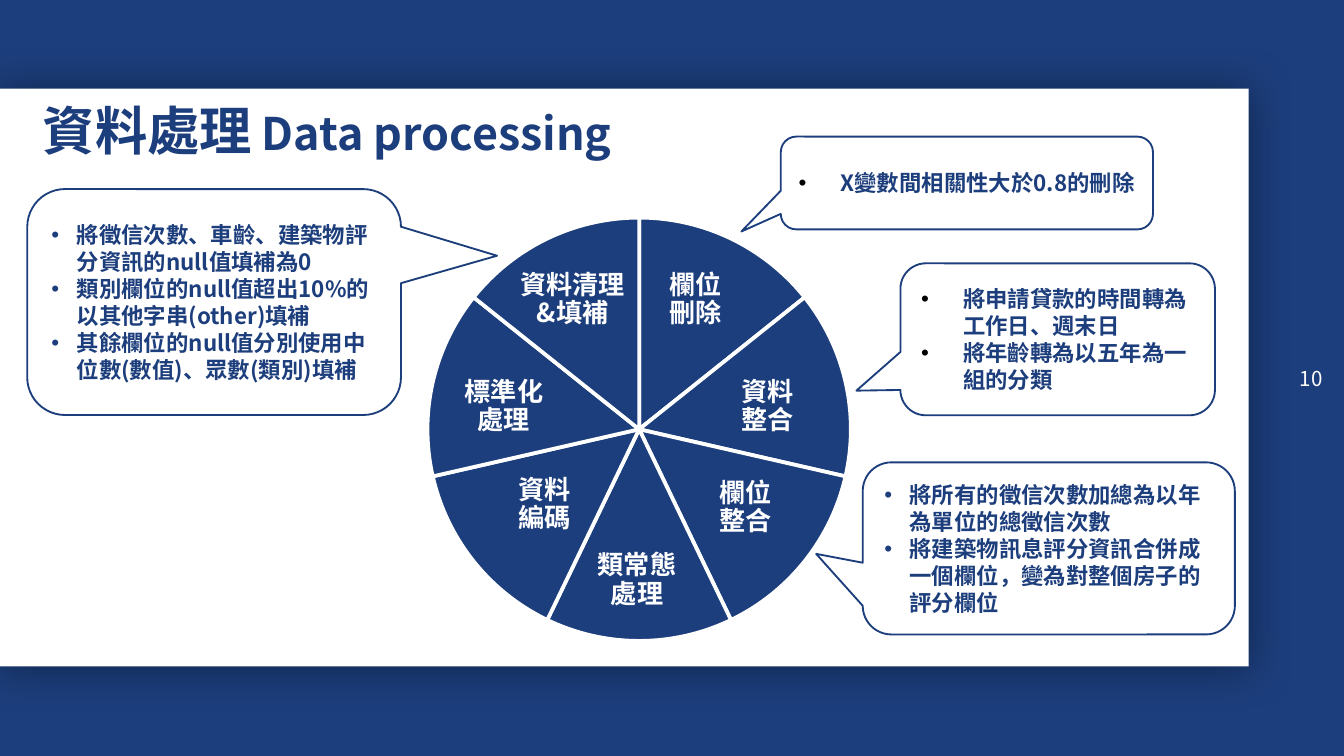
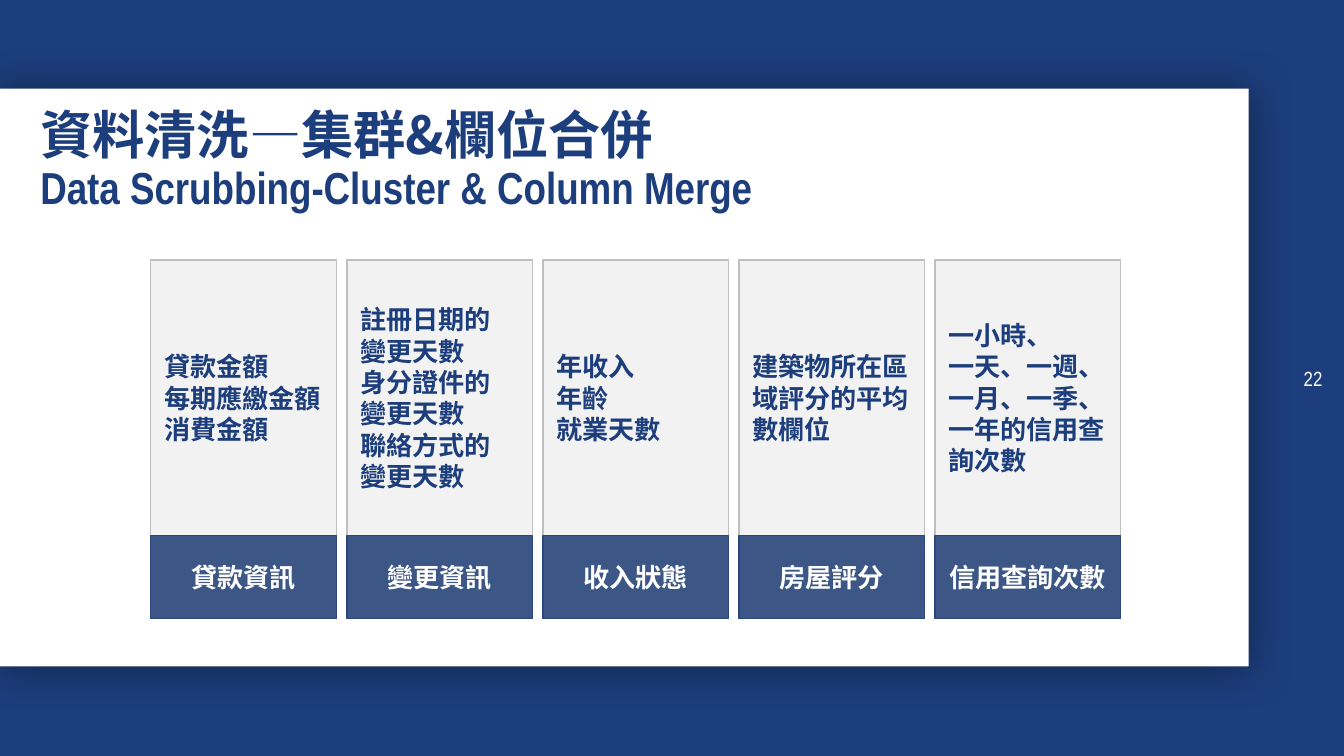
from dataclasses import dataclass

from lxml.etree import SubElement
from pptx import Presentation
from pptx.dml.color import RGBColor as RGB
from pptx.enum.shapes import MSO_SHAPE as Kind
from pptx.enum.text import MSO_ANCHOR as Anchor, MSO_AUTO_SIZE as Fit, PP_ALIGN as Align
from pptx.oxml.ns import qn
from pptx.util import Pt


@dataclass(frozen=True)
class Theme:
    # Colours
    navy: str = "1D3E7C"
    white: str = "FFFFFF"
    black: str = "000000"
    shade: str = "010E1B"
    pale: str = "F2F2F2"
    edge: str = "BFBFBF"
    base: str = "3C5685"
    rim: str = "2C477D"
    # Fonts
    sans: str = "Noto Sans CJK SC"
    trad: str = "Noto Sans CJK TC"
    slim: str = "Arial Narrow"
    # Type sizes
    head: int = 28
    sub: int = 24
    label: int = 14
    note: int = 12
    page: int = 11


T = Theme()


def add_bullet(par, color, indent):
    props = par._p.get_or_add_pPr()
    props.set("marL", str(Pt(indent)))
    props.set("indent", str(-Pt(indent)))
    tint = SubElement(props, qn("a:buClr"))
    SubElement(tint, qn("a:srgbClr"), val=color)
    SubElement(props, qn("a:buFont"), typeface="Arial")
    SubElement(props, qn("a:buChar"), char="•")


def write(frame, pars, size=T.label, font=T.sans, color=T.navy, bold=True,
          align=Align.LEFT, anchor=Anchor.MIDDLE, pad=(7.2, 3.6),
          space=None, bullet=None, indent=0):
    """Fill a frame; each paragraph is a string or a list of (text, size, font)."""
    frame.word_wrap = True
    frame.auto_size = Fit.NONE
    frame.vertical_anchor = anchor
    frame.margin_left = frame.margin_right = Pt(pad[0])
    frame.margin_top = frame.margin_bottom = Pt(pad[1])
    for i, item in enumerate(pars):
        par = frame.paragraphs[0] if i == 0 else frame.add_paragraph()
        par.alignment = align
        par.space_before = Pt(0)
        if space:
            par.line_spacing = space
        if bullet:
            add_bullet(par, bullet, indent)
        parts = [(item, size, font)] if isinstance(item, str) else item
        for text, points, face in parts:
            for n, line in enumerate(text.split("\n")):
                if n:
                    par.add_line_break()
                run = par.add_run()
                run.text = line
                run.font.size = Pt(points)
                run.font.bold = bold
                run.font.color.rgb = RGB.from_string(color)
                run.font.name = face
                SubElement(run._r.get_or_add_rPr(), qn("a:ea"), typeface=face)


class Deck:
    def __init__(self):
        self.prs = Presentation()
        self.prs.slide_width, self.prs.slide_height = Pt(720), Pt(405)
        self.slide = None

    def start(self, title, at, page, font):
        """Add a slide with its backdrop, white panel, title and page number."""
        self.slide = self.prs.slides.add_slide(self.prs.slide_layouts[5])
        fill = self.slide.background.fill
        fill.solid()
        fill.fore_color.rgb = RGB.from_string(T.navy)
        self.panel()
        head = self.slide.shapes.title
        head.left, head.top, head.width, head.height = map(Pt, at)
        write(head.text_frame, title, anchor=Anchor.TOP, pad=(0, 0), space=0.9)
        self.text((665.3, 0, 43.2, 405), [page], size=T.page, font=font,
                  color=T.white, bold=False, align=Align.RIGHT, pad=(0, 0))

    def panel(self):
        panel = self.shape(Kind.RECTANGLE, (0, 47.5, 668.9, 309.6), fill=T.white)
        glow = SubElement(panel._element.spPr.find(qn("a:effectLst")), qn("a:outerShdw"),
                          blurRad=str(Pt(22.5)), dist=str(Pt(0.8)), dir="5400000",
                          algn="t", rotWithShape="0")
        tint = SubElement(glow, qn("a:srgbClr"), val=T.shade)
        SubElement(tint, qn("a:alpha"), val="49000")
        # Keep the panel behind the title
        self.slide.shapes._spTree.insert(2, panel._element)

    def shape(self, kind, at, fill=None, line=None, width=1.0, adj=()):
        item = self.slide.shapes.add_shape(kind, *map(Pt, at))
        item.shadow.inherit = False
        if fill:
            item.fill.solid()
            item.fill.fore_color.rgb = RGB.from_string(fill)
        else:
            item.fill.background()
        if line:
            item.line.color.rgb = RGB.from_string(line)
            item.line.width = Pt(width)
        else:
            item.line.fill.background()
        for i, value in enumerate(adj):
            item.adjustments[i] = value
        return item

    def text(self, at, pars, **fmt):
        box = self.slide.shapes.add_textbox(*map(Pt, at))
        write(box.text_frame, pars, **fmt)

    def wheel(self, at, labels):
        """Equal slices clockwise from the top, then their labels."""
        step = 360 / len(labels)
        for i in range(len(labels)):
            # Pie angles are in 60000ths of a degree, adjustments in 100000ths
            ends = [(270 + step * k) % 360 * 0.6 for k in (i, i + 1)]
            self.shape(Kind.PIE, at, fill=T.navy, line=T.white, width=2, adj=ends)
        for spot, pars in labels:
            self.text(spot, pars, color=T.white, align=Align.CENTER,
                      pad=(1.4, 1.4), space=0.9)

    def callout(self, at, tip, pars, bullet, indent):
        item = self.shape(Kind.ROUNDED_RECTANGULAR_CALLOUT, at, line=T.navy,
                          adj=(*tip, 0.167))
        write(item.text_frame, pars, size=T.note, bullet=bullet, indent=indent)

    def card(self, left, wide, name, pars):
        body = self.shape(Kind.RECTANGLE, (left, 139.2, wide, 147.6), fill=T.pale,
                          line=T.edge, width=0.75)
        write(body.text_frame, pars, font=T.trad)
        foot = self.shape(Kind.RECTANGLE, (left, 286.8, wide, 44.6), fill=T.base,
                          line=T.rim, width=0.75)
        write(foot.text_frame, [name], font=T.trad, color=T.white, align=Align.CENTER)


def steps(deck):
    deck.start([[("資料處理", T.head, T.sans), (" Data processing", T.sub, T.sans)]],
               (23, 56.2, 609, 35.3), "10", T.sans)
    # Wheel of seven steps
    deck.wheel((229, 116.6, 226.8, 226.8), [
        ((339.8, 139.7, 66.2, 41.8), ["欄位", "刪除"]),
        ((388.8, 196.6, 44.6, 43.2), ["資料整合"]),
        ((368.6, 252.7, 61.9, 38.9), ["欄位", "整合"]),
        ((313.2, 291.6, 56.2, 38.9), ["類常態處理"]),
        ((270.7, 249.1, 41.8, 43.2), ["資料編碼"]),
        ((245.5, 196.6, 49, 43.2), ["標準化處理"]),
        ((273.6, 139.7, 66.2, 41.8), ["資料清理&填補"]),
    ])
    # Notes on the steps
    deck.callout((462.2, 247.7, 199.4, 92.2), (-0.625, 0.032), [
        "將所有的徵信次數加總為以年為單位的總徵信次數",
        "將建築物訊息評分資訊合併成一個欄位，變為對整個房子的評分欄位",
    ], T.navy, 13.5)
    deck.callout((418.3, 73.2, 199.4, 49.7), (-0.606, 0.523),
                 ["X變數間相關性大於0.8的刪除"], T.black, 22.5)
    deck.callout((14.6, 101.3, 200.2, 121), (0.757, -0.205), [
        "將徵信次數、車齡、建築物評分資訊的null值填補為0",
        "類別欄位的null值超出10%的以其他字串(other)填補",
        "其餘欄位的null值分別使用中位數(數值)、眾數(類別)填補",
    ], T.navy, 13.5)
    deck.callout((482.4, 141.1, 168.5, 81.4), (-0.64, 0.338), [
        "將申請貸款的時間轉為工作日、週末日",
        "將年齡轉為以五年為一組的分類",
    ], T.black, 22.5)


def merge(deck):
    deck.start([[("資料清洗—集群&欄位合併", T.head, T.trad)],
                [("Data Scrubbing-Cluster & Column Merge", T.sub, T.slim)]],
               (21.6, 58.3, 609, 20.2), "22", T.slim)
    # Five cards at an equal pitch
    cards = [
        ("貸款資訊", ["貸款金額", "每期應繳金額", "消費金額"]),
        ("變更資訊", [f"{name}的\n變更天數" for name in ("註冊日期", "身分證件", "聯絡方式")]),
        ("收入狀態", ["年收入", "年齡", "就業天數"]),
        ("房屋評分", ["建築物所在區域評分的平均數欄位"]),
        ("信用查詢次數", ["一小時、\n一天、一週、一月、一季、一年的信用查詢次數"]),
    ]
    for i, (name, pars) in enumerate(cards):
        deck.card(80.8 + 105 * i, 99.4, name, pars)


def main():
    deck = Deck()
    steps(deck)
    merge(deck)
    deck.prs.save("out.pptx")


if __name__ == "__main__":
    main()
